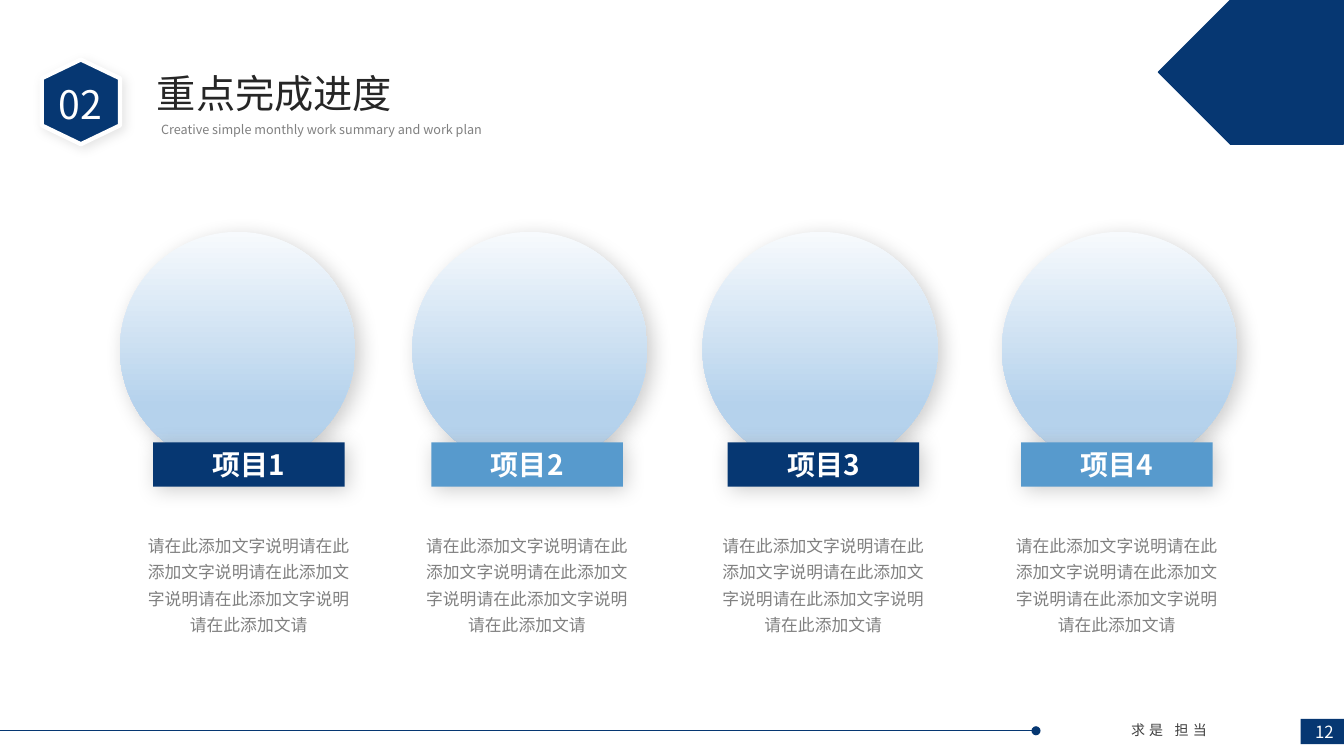
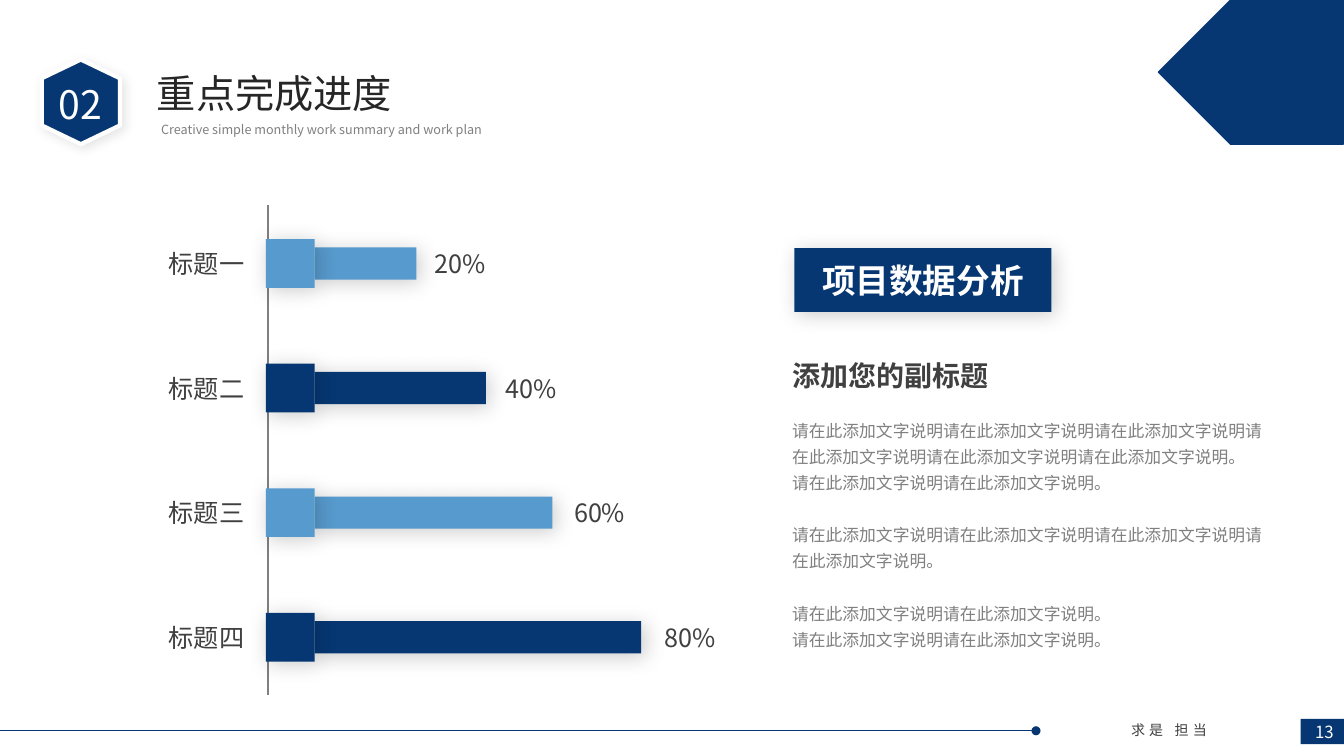
from dataclasses import dataclass

from lxml.etree import SubElement
from pptx import Presentation
from pptx.dml.color import RGBColor
from pptx.enum.shapes import MSO_CONNECTOR, MSO_SHAPE
from pptx.enum.text import MSO_ANCHOR as Anchor, PP_ALIGN as Align
from pptx.oxml.ns import qn
from pptx.util import Pt


# Theme: colours, type sizes and effects
@dataclass(frozen=True)
class Theme:
    font: str = "Noto Sans CJK SC"
    navy: str = "063772"
    sky: str = "579ACD"
    white: str = "FFFFFF"
    ink: str = "262626"
    dark: str = "404040"
    grey: str = "808080"
    pale_stops: tuple = ((0, "F7FAFD"), (74, "B5D2EC"), (83, "B5D2EC"), (100, "CEE1F2"))
    title: int = 28
    banner: int = 24
    heading: int = 20
    label: int = 18
    body: int = 12
    footer: int = 10
    caption: int = 9
    body_spacing: float = 1.3
    # Shadows: opacity in percent, blur and distance in points
    card_shadow: tuple = (20, 15, 3)
    circle_shadow: tuple = (20, 15, 5)
    badge_shadow: tuple = (10, 8, 3)


THEME = Theme()
PARAGRAPH_GAP = 18.7


class Deck:
    def __init__(self, theme):
        self.theme = theme
        self.presentation = Presentation()
        self.presentation.slide_width = Pt(960)
        self.presentation.slide_height = Pt(540)
        self.slide = None

    # Text
    def fill_text(self, shape, paragraphs, size, color, bold=False, align=Align.LEFT,
                  anchor=Anchor.TOP, wrap=True, insets=None, spacing=None, tracking=None):
        frame = shape.text_frame
        frame_format = {"word_wrap": wrap, "vertical_anchor": anchor}
        if insets is not None:
            sides = ("left", "top", "right", "bottom")
            frame_format.update({f"margin_{side}": Pt(inset)
                                 for side, inset in zip(sides, insets)})
        for name, value in frame_format.items():
            setattr(frame, name, value)
        if isinstance(paragraphs, str):
            paragraphs = [(paragraphs, 0)]
        for index, (text, before) in enumerate(paragraphs):
            paragraph = frame.add_paragraph() if index else frame.paragraphs[0]
            paragraph_format = {"alignment": align, "line_spacing": spacing,
                                "space_before": Pt(before) if before else None}
            for name, value in paragraph_format.items():
                setattr(paragraph, name, value)
            run = paragraph.add_run()
            run.text = text
            run_format = {"name": self.theme.font, "size": Pt(size), "bold": bold}
            for name, value in run_format.items():
                setattr(run.font, name, value)
            run.font.color.rgb = RGBColor.from_string(color)
            properties = run.font._element
            SubElement(properties, qn("a:ea"), typeface=self.theme.font)
            if tracking:
                properties.set("spc", str(tracking * 100))

    def text(self, left, top, width, height, paragraphs, size, color, **style):
        box = self.slide.shapes.add_textbox(Pt(left), Pt(top), Pt(width), Pt(height))
        self.fill_text(box, paragraphs, size, color, **style)

    # Shapes and lines
    def shape(self, kind, left, top, width, height, color=None, shadow=None, line=None):
        shape = self.slide.shapes.add_shape(kind, Pt(left), Pt(top), Pt(width), Pt(height))
        if color:
            shape.fill.solid()
            shape.fill.fore_color.rgb = RGBColor.from_string(color)
        if line:
            line_color, line_width = line
            shape.line.color.rgb = RGBColor.from_string(line_color)
            shape.line.width = Pt(line_width)
        else:
            shape.line.fill.background()
        shape.shadow.inherit = False
        if shadow:
            self.cast_shadow(shape, *shadow)
        return shape

    def cast_shadow(self, shape, opacity, blur, distance):
        effects = shape._element.spPr.find(qn("a:effectLst"))
        outer = SubElement(effects, qn("a:outerShdw"), blurRad=str(Pt(blur)),
                           dist=str(Pt(distance)), dir="2700000", algn="tl",
                           rotWithShape="0")
        black = SubElement(outer, qn("a:srgbClr"), val="000000")
        SubElement(black, qn("a:alpha"), val=str(opacity * 1000))

    def circle(self, left, top, size):
        circle = self.shape(MSO_SHAPE.OVAL, left, top, size, size,
                            shadow=self.theme.circle_shadow)
        circle.fill.gradient()
        circle.fill.gradient_angle = 270
        stops = circle._element.spPr.find(qn("a:gradFill")).find(qn("a:gsLst"))
        for stop in list(stops):
            stops.remove(stop)
        for position, color in self.theme.pale_stops:
            stop = SubElement(stops, qn("a:gs"), pos=str(position * 1000))
            SubElement(stop, qn("a:srgbClr"), val=color)

    def block(self, left, top, width, height, color):
        return self.shape(MSO_SHAPE.RECTANGLE, left, top, width, height, color,
                          self.theme.card_shadow)

    def label(self, left, top, width, height, text, size, color):
        self.fill_text(self.block(left, top, width, height, color), text, size,
                       self.theme.white, bold=True, align=Align.CENTER,
                       anchor=Anchor.MIDDLE)

    def line(self, start, end, color, width):
        line = self.slide.shapes.add_connector(
            MSO_CONNECTOR.STRAIGHT, *(Pt(value) for value in (*start, *end)))
        line.line.color.rgb = RGBColor.from_string(color)
        line.line.width = Pt(width)
        SubElement(line._element.spPr, qn("a:effectLst"))

    # Frame shared by all slides
    def new_slide(self, number):
        theme = self.theme
        self.slide = self.presentation.slides.add_slide(self.presentation.slide_layouts[6])
        corner = self.shape(MSO_SHAPE.PENTAGON, 827.5, 0, 132, 103, theme.navy,
                            line=(theme.navy, 1))
        corner.rotation = 180
        # Footer
        self.line((0, 522), (740, 522), theme.navy, 1)
        self.shape(MSO_SHAPE.OVAL, 736.75, 518.75, 6.5, 6.5, theme.navy)
        self.text(742.5, 512, 185, 20, "求是 担当", theme.footer, theme.dark,
                  align=Align.CENTER, tracking=3)
        page = self.shape(MSO_SHAPE.RECTANGLE, 929, 513.5, 31, 18, theme.navy)
        self.fill_text(page, str(number), theme.body, theme.white, align=Align.CENTER,
                       anchor=Anchor.MIDDLE, insets=(3, 0, 0, 0))

    def header(self, number, title, subtitle):
        theme = self.theme
        self.text(108, 77.8, 283, 21.6, subtitle, theme.caption, theme.grey, spacing=1.5)
        self.text(105, 46, 184, 41, title, theme.title, theme.ink, wrap=False)
        badge = self.shape(MSO_SHAPE.HEXAGON, 27.5, 44.8, 60.5, 56, theme.navy,
                           theme.badge_shadow, line=(theme.white, 3))
        badge.rotation = 90
        badge.adjustments[0] = 0.24
        self.text(34.5, 54, 46, 41, number, theme.title, theme.white,
                  align=Align.CENTER, wrap=False)


def section_slide(deck, number):
    deck.new_slide(number)
    deck.header("02", "重点完成进度", "Creative simple monthly work summary and work plan")


def projects_slide(deck):
    section_slide(deck, 12)
    # Left edges of each project's circle and label
    columns = ((85.7, 109.4), (294.5, 308.2), (501.8, 519.8), (715.7, 729.4))
    description = "请在此添加文字说明" * 4 + "请在此添加文请"
    for circle_left, _ in columns:
        deck.circle(circle_left, 165.6, 168)
    for index, (_, label_left) in enumerate(columns):
        color = (THEME.navy, THEME.sky)[index % 2]
        deck.label(label_left, 316, 136.8, 31.7, f"项目{index + 1}", THEME.heading, color)
        deck.text(label_left - 13.5, 375, 163.5, 82, description, THEME.body, THEME.grey,
                  align=Align.CENTER, spacing=THEME.body_spacing)


def analysis_slide(deck):
    section_slide(deck, 13)
    # Progress bars: title, bar length, share
    rows = (("标题一", 72.7, "20%"), ("标题二", 122.4, "40%"),
            ("标题三", 169.9, "60%"), ("标题四", 233.3, "80%"))
    axis, first_top, pitch, square, bar_height = 190, 170.8, 89, 34.8, 23
    bar_left = axis + square
    centres = [first_top + square / 2 + pitch * index for index in range(len(rows))]
    colors = [(THEME.sky, THEME.navy)[index % 2] for index in range(len(rows))]
    for (_, length, _), centre, color in zip(rows, centres, colors):
        deck.block(bar_left, centre - bar_height / 2, length, bar_height, color)
    deck.line((191.5, 146.5), (191.5, 496.5), THEME.grey, 1.75)
    middle = {"anchor": Anchor.MIDDLE, "insets": (0, 0, 0, 0)}
    for index, (title, length, share) in enumerate(rows):
        top = centres[index] - square / 2
        deck.block(axis, top, square, square, colors[index])
        deck.text(105, top, 85, square, title, THEME.label, THEME.dark,
                  align=Align.CENTER, **middle)
        deck.text(bar_left + length + 13 + 1.2 * index, top, 67, square, share,
                  THEME.label, THEME.dark, **middle)

    # Commentary
    deck.label(567.4, 177.3, 183.6, 45.5, "项目数据分析", THEME.banner, THEME.navy)
    deck.text(558.7, 252.7, 257, 32, "添加您的副标题", THEME.heading, THEME.dark, bold=True)
    phrase = "请在此添加文字说明"
    paragraphs = [(phrase * count + "。", before) for count, before in (
        (6, 0), (2, 0), (4, PARAGRAPH_GAP), (2, PARAGRAPH_GAP), (2, 0))]
    deck.text(558.7, 292.3, 355, 234, paragraphs, THEME.body, THEME.grey,
              spacing=THEME.body_spacing)


def main():
    deck = Deck(THEME)
    projects_slide(deck)
    analysis_slide(deck)
    deck.presentation.save("out.pptx")


if __name__ == "__main__":
    main()
